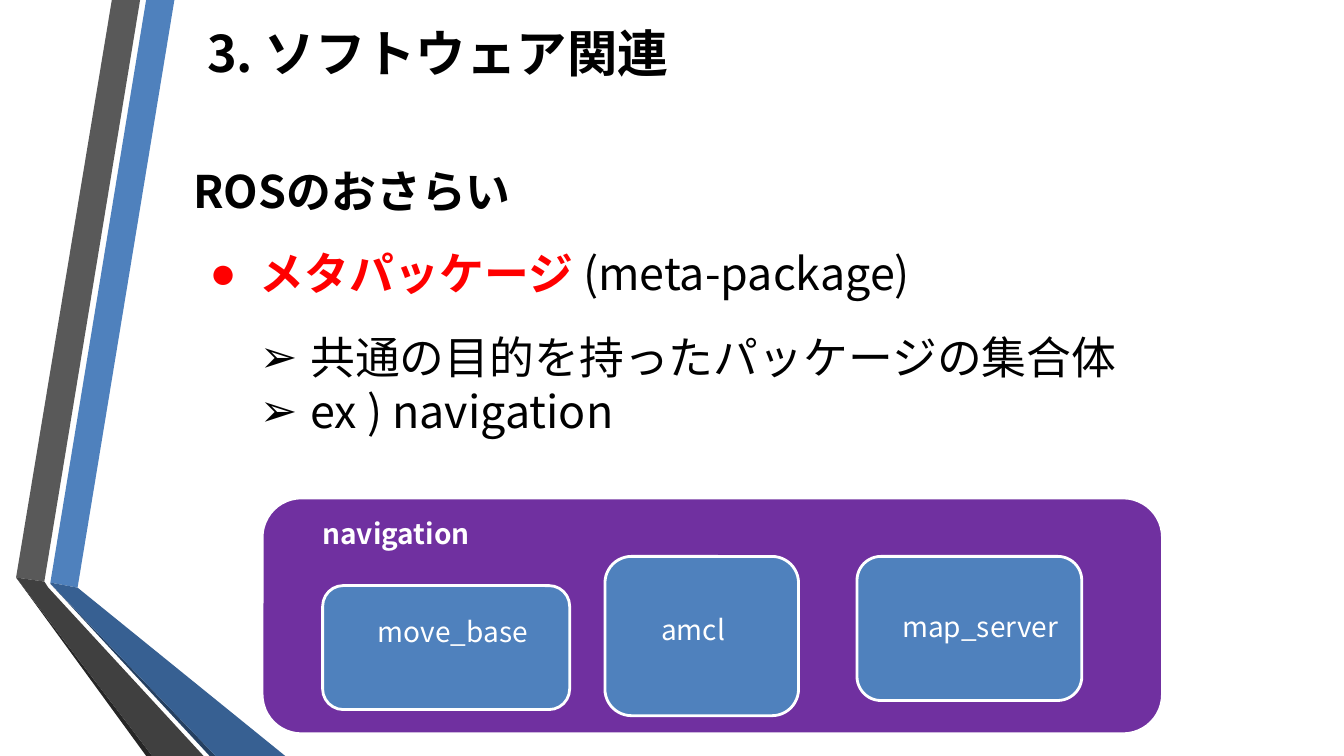
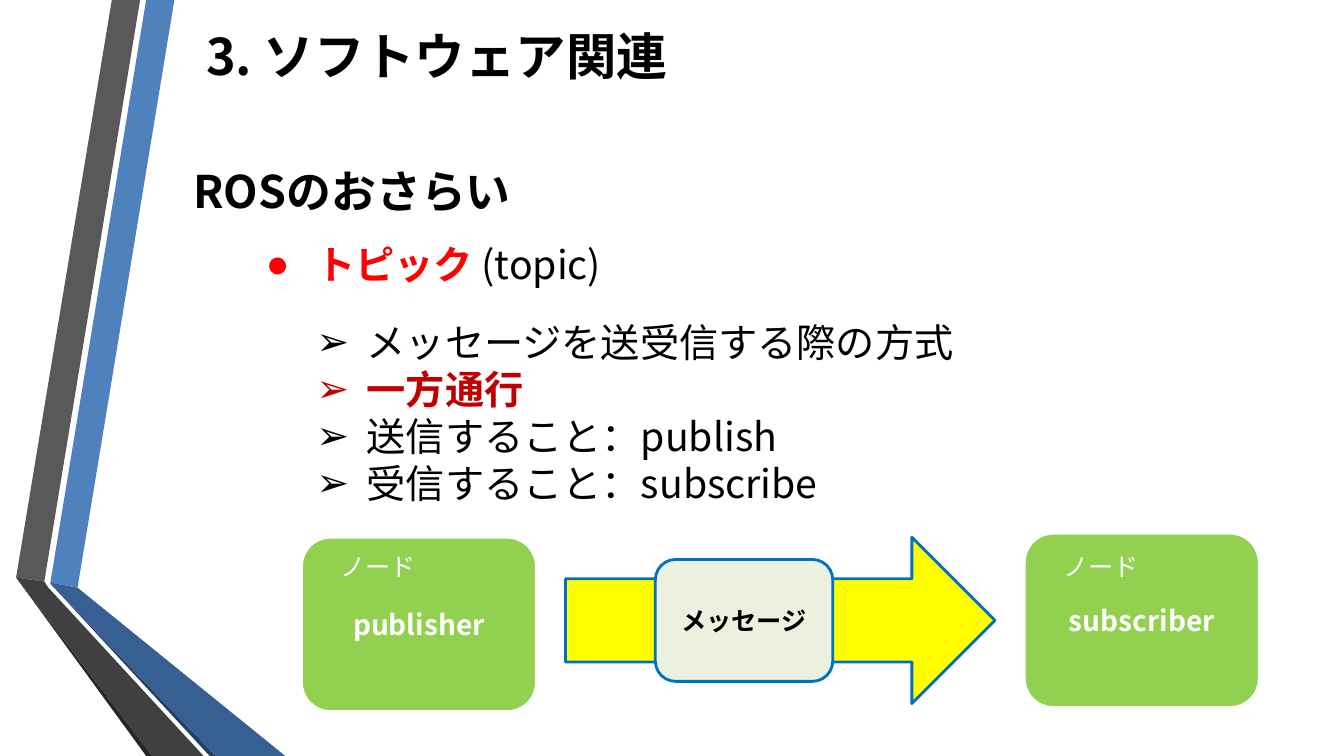
from lxml import etree
from pptx import Presentation
from pptx import util as u
from pptx.dml.color import RGBColor
from pptx.enum import shapes, text
from pptx.oxml import ns

FONT = "Noto Sans CJK JP"
MARK = "Arial"
BLACK, WHITE, RED, CRIMSON = "000000", "FFFFFF", "FF0000", "C00000"
BLUE, PURPLE, GREEN = "4F81BD", "7030A0", "92D050"
YELLOW, EDGE, PALE = "FFFF00", "0070C0", "EBF1DE"
ROUND = shapes.MSO_SHAPE.ROUNDED_RECTANGLE
ARROW = shapes.MSO_SHAPE.RIGHT_ARROW
BANDS = [
    (BLUE, [(0.5, 5.78), (0.77, 5.83), (1.73, 0), (1.45, 0)]),
    ("595959", [(1.39, 0), (1.11, 0), (0.16, 5.73), (0.44, 5.77)]),
    ("262626", [(0.16, 5.73), (1.45, 7.5), (1.51, 7.5)]),
    ("254061", [(0.5, 5.79), (2.08, 7.5), (2.14, 7.5)]),
    ("376092", [(0.5, 5.79), (2.14, 7.5), (2.83, 7.5), (0.77, 5.83), (0.5, 5.78)]),
    ("404040", [(2.02, 7.5), (0.48, 5.83), (0.44, 5.77), (0.16, 5.73), (1.51, 7.5)]),
]


def color(code):
    """Turn a hex string into a colour."""
    return RGBColor.from_string(code)


def inch(*sizes):
    """Turn numbers into inch lengths."""
    return [u.Inches(size) for size in sizes]


def paint(shape, fill, line=None):
    """Give a shape its flat fill and outline."""
    shape.shadow.inherit = False
    shape.fill.solid()
    shape.fill.fore_color.rgb = color(fill)
    if line:
        shape.line.color.rgb = color(line)
        shape.line.width = u.Pt(2)
    else:
        shape.line.fill.background()


def bullet(para, mark, hue, level):
    """Hang a coloured bullet in front of a paragraph."""
    para.level = level
    props = para._p.get_or_add_pPr()
    props.set("marL", str(u.Inches(0.5 + 0.5 * level)))
    props.set("indent", str(u.Inches(-0.5)))
    tint = etree.SubElement(props, ns.qn("a:buClr"))
    etree.SubElement(tint, ns.qn("a:srgbClr"), val=hue)
    etree.SubElement(props, ns.qn("a:buFont"), typeface=MARK)
    etree.SubElement(props, ns.qn("a:buChar"), char=mark)


def write(para, words, size=20, hue=WHITE, bold=False, center=False):
    """Add one formatted run to a paragraph."""
    run = para.add_run()
    run.text = words
    run.font.name, run.font.size, run.font.bold = FONT, u.Pt(size), bold
    run.font.color.rgb = color(hue)
    etree.SubElement(run._r.get_or_add_rPr(), ns.qn("a:ea"), typeface=FONT)
    para.line_spacing = u.Pt(round(size * 1.2, 1))
    para.alignment = text.PP_ALIGN.CENTER if center else text.PP_ALIGN.LEFT


def block(slide, box):
    """Add a text box whose lines may run to its right edge."""
    frame = slide.shapes.add_textbox(*inch(*box)).text_frame
    frame.word_wrap = True
    frame.margin_right = 0
    return frame


def label(slide, box, words, **style):
    """Add a one-line text box."""
    write(block(slide, box).paragraphs[0], words, **style)


def card(slide, box, fill, line=WHITE, words=None, kind=ROUND, **style):
    """Add a filled shape with optional centred text."""
    shape = slide.shapes.add_shape(kind, *inch(*box))
    paint(shape, fill, line)
    if words:
        frame = shape.text_frame
        frame.word_wrap = True
        frame.vertical_anchor = text.MSO_ANCHOR.MIDDLE
        write(frame.paragraphs[0], words, bold=True, center=True, **style)


def base(deck, width, height):
    """Add a slide with the side bands, title and heading."""
    slide = deck.slides.add_slide(deck.slide_layouts[6])
    for fill, points in BANDS:
        spots = [(round(x * 1000), round(y * 1000)) for x, y in points]
        pen = slide.shapes.build_freeform(*spots[0], scale=914.4)
        pen.add_line_segments(spots[1:], close=True)
        paint(pen.convert_to_shape(), fill)
    frame = slide.shapes.add_textbox(*inch(1.7, 0, width, height)).text_frame
    frame.word_wrap = True
    frame.vertical_anchor = text.MSO_ANCHOR.MIDDLE
    write(frame.paragraphs[0], "3. ソフトウェア関連", size=36, hue=BLACK,
          bold=True, center=True)
    label(slide, (1.82, 1.58, 3.6, 0.63), "ROSのおさらい",
          size=32, hue=BLACK, bold=True)
    return slide


def points(slide, box, term, gloss, items, size):
    """Add a red term, its gloss and the points below it."""
    frame = block(slide, box)
    head = frame.paragraphs[0]
    write(head, term, size=size, hue=RED, bold=True)
    write(head, gloss, size=size, hue=BLACK)
    bullet(head, "●", RED, 0)
    for row, (words, hue) in enumerate(items):
        para = frame.add_paragraph()
        write(para, words, size=size, hue=hue, bold=hue != BLACK)
        para.space_before = u.Pt(0 if row else 21.6)
        bullet(para, "➢", hue, 1)


def panel(slide, box):
    """Draw the navigation panel with its packages."""
    left, top = box[:2]
    card(slide, box, PURPLE)
    label(slide, (left + 0.5, top + 0.14, 1.8, 0.43), "navigation", bold=True)
    parts = [
        ("move_base", (0.6, 0.87, 2.45, 1.23), (0.45, 0.24, 1.8)),
        ("amcl", (3.4, 0.58, 1.92, 1.58), (0.46, 0.51, 1)),
        ("map_server", (5.9, 0.58, 2.23, 1.43), (0.35, 0.48, 1.8)),
    ]
    for name, (x, y, wide, high), (dx, dy, span) in parts:
        x, y = left + x, top + y
        card(slide, (x, y, wide, high), BLUE)
        label(slide, (x + dx, y + dy, span, 0.43), name)


def flow(slide, box):
    """Draw two nodes and the message sent between them."""
    left, top, width, height = box
    wide, high = 2.33, 1.73
    nodes = [("publisher", left, top + height - high),
             ("subscriber", left + width - wide, top)]
    for name, x, y in nodes:
        card(slide, (x, y, wide, high), GREEN, words=name)
        label(slide, (x + 0.29, top + 0.13, 1, 0.4), "ノード", size=18)
    card(slide, (left + 2.62, top + 0.04, 4.26, 1.65), YELLOW, EDGE, kind=ARROW)
    card(slide, (left + 3.51, top + 0.26, 1.76, 1.21), PALE, EDGE,
         words="メッセージ", size=18, hue=BLACK)


def main():
    """Build and save the deck."""
    deck = Presentation()
    deck.slide_width, deck.slide_height = inch(13.33, 7.5)
    meta = base(deck, 5.28, 1.04)
    panel(meta, (2.6, 4.94, 8.93, 2.34))
    points(meta, (1.98, 2.39, 9.5, 2.23), "メタパッケージ", " (meta-package)",
           [("共通の目的を持ったパッケージの集合体", BLACK),
            ("ex ) navigation", BLACK)], 32)
    topic = base(deck, 5.26, 1.1)
    points(topic, (2.54, 2.34, 7.3, 2.9), "トピック", " (topic)",
           [("メッセージを送受信する際の方式", BLACK),
            ("一方通行", CRIMSON),
            ("送信すること：publish", BLACK),
            ("受信すること：subscribe", BLACK)], 28)
    flow(topic, (2.99, 5.29, 9.5, 1.77))
    deck.save("out.pptx")


if __name__ == "__main__":
    main()
